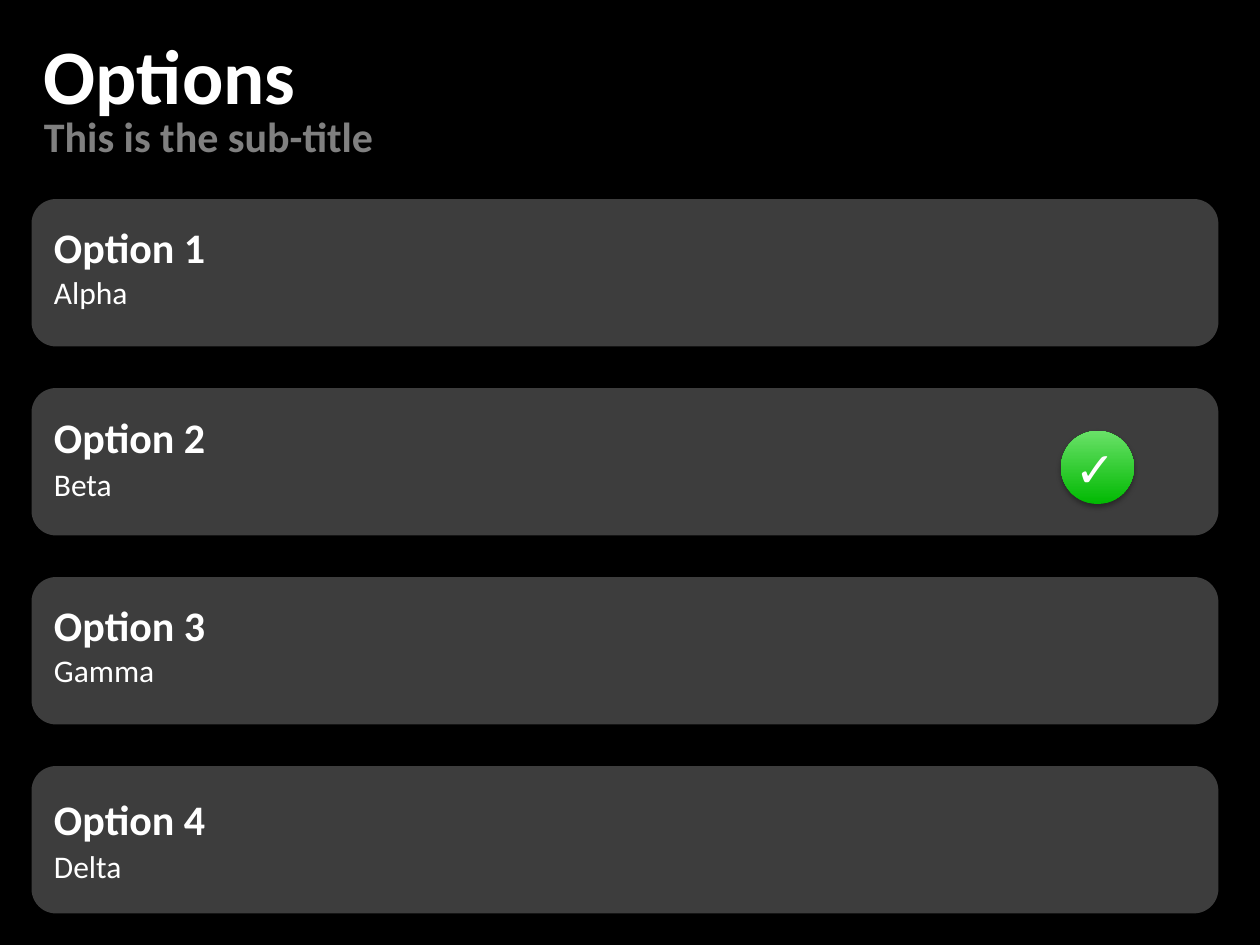
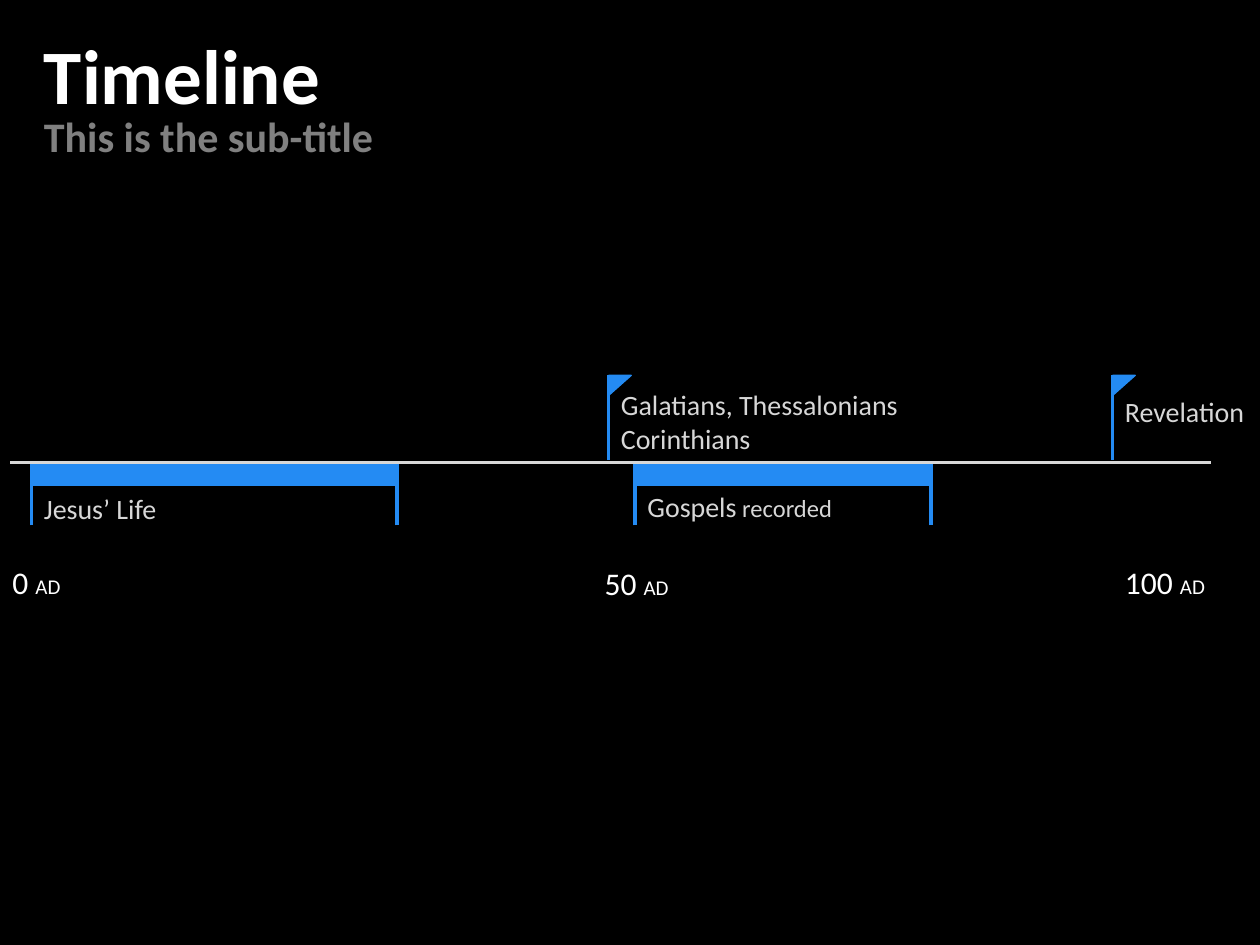
from dataclasses import dataclass

from lxml.etree import SubElement
from pptx import Presentation
from pptx.dml.color import RGBColor
from pptx.enum.shapes import MSO_CONNECTOR, MSO_SHAPE
from pptx.enum.text import MSO_AUTO_SIZE
from pptx.oxml.ns import qn
from pptx.util import Inches, Pt


@dataclass(frozen=True)
class Theme:
    font: str = "Calibri"
    background: str = "000000"
    white: str = "FFFFFF"
    subtitle: str = "808080"
    label: str = "D7D7D7"
    blue: str = "248BF3"
    green: str = "01B902"
    light_green: str = "69E168"
    card_alpha: int = 24
    title_size: int = 44
    heading_size: int = 24
    check_size: int = 28
    body_size: int = 18
    label_size: int = 16
    note_size: int = 14
    era_size: int = 12


def rgb(color):
    return RGBColor.from_string(color)


def write_text(tf, text, size, color, font, bold=False):
    """Fill a frame line by line; text may be a string or a list of (text, size) runs."""
    runs_by_line = [text] if isinstance(text, list) else [[(line, size)] for line in text.split("\n")]
    for i, runs in enumerate(runs_by_line):
        p = tf.add_paragraph() if i else tf.paragraphs[0]
        for words, run_size in runs:
            r = p.add_run()
            r.text = words
            r.font.name = font
            r.font.size = Pt(run_size)
            r.font.bold = bold
            r.font.color.rgb = rgb(color)


class Deck:
    def __init__(self, theme):
        self.theme = theme
        self.prs = Presentation()
        self.prs.slide_width, self.prs.slide_height = Inches(10), Inches(7.5)
        fill = self.prs.slide_master.background.fill
        fill.solid()
        fill.fore_color.rgb = rgb(theme.background)
        self.s = None

    def slide(self, title, subtitle):
        t = self.theme
        self.s = self.prs.slides.add_slide(self.prs.slide_layouts[6])
        self.text(title, 0.25, 0.17, 9.42, 0.84, size=t.title_size, bold=True)
        self.text(subtitle, 0.25, 0.83, 9.42, 0.5, size=t.heading_size, color=t.subtitle, bold=True)

    def text(self, text, x, y, w, h, size=None, color=None, bold=False, wrap=True):
        t = self.theme
        tf = self.s.shapes.add_textbox(Inches(x), Inches(y), Inches(w), Inches(h)).text_frame
        tf.word_wrap = wrap
        tf.auto_size = MSO_AUTO_SIZE.SHAPE_TO_FIT_TEXT
        write_text(tf, text, size or t.body_size, color or t.white, t.font, bold)

    def shape(self, kind, x, y, w, h, color, outline=False):
        sp = self.s.shapes.add_shape(kind, Inches(x), Inches(y), Inches(w), Inches(h))
        sp.shadow.inherit = False
        sp.fill.solid()
        sp.fill.fore_color.rgb = rgb(color)
        if outline:
            sp.line.color.rgb = rgb(color)
            sp.line.width = Pt(0.75)
        else:
            sp.line.fill.background()
        return sp

    def line(self, x1, y1, x2, y2, color):
        cn = self.s.shapes.add_connector(
            MSO_CONNECTOR.STRAIGHT, Inches(x1), Inches(y1), Inches(x2), Inches(y2))
        cn.line.color.rgb = rgb(color)
        cn.line.width = Pt(2)
        SubElement(cn._element.spPr, qn("a:effectLst"))

    def drop_shadow(self, sp):
        effects = sp._element.spPr.find(qn("a:effectLst"))
        shadow = SubElement(effects, qn("a:outerShdw"), blurRad=str(Pt(3.1)), dist=str(Pt(1.8)),
                            dir="5400000", rotWithShape="0")
        color = SubElement(shadow, qn("a:srgbClr"), val=self.theme.background)
        SubElement(color, qn("a:alpha"), val="35000")

    def option_card(self, y, name, detail, detail_width, name_dy, detail_dy):
        t = self.theme
        card = self.shape(MSO_SHAPE.ROUNDED_RECTANGLE, 0.25, y, 9.42, 1.17, t.white)
        color = card._element.spPr.find(qn("a:solidFill"))[0]
        SubElement(color, qn("a:alpha"), val=str(t.card_alpha * 1000))
        self.drop_shadow(card)
        self.text(name, 0.33, y + name_dy, 1.42, 0.5, size=t.heading_size, bold=True, wrap=False)
        self.text(detail, 0.33, y + detail_dy, detail_width, 0.4, wrap=False)

    def check_badge(self, x, y):
        t = self.theme
        badge = self.shape(MSO_SHAPE.OVAL, x, y, 0.58, 0.58, t.green)
        badge.fill.gradient()
        badge.fill.gradient_angle = 90
        for stop, color, position in zip(badge.fill.gradient_stops, (t.green, t.light_green), (0, 1)):
            stop.color.rgb = rgb(color)
            stop.position = position
        self.drop_shadow(badge)
        self.text("✓", x + 0.01, y + 0.01, 0.59, 0.57, size=t.check_size, wrap=False)

    def period(self, start, end, label, label_y):
        """Bar hanging below the axis, with a post at each end."""
        t = self.theme
        self.shape(MSO_SHAPE.RECTANGLE, start, 3.68, end - start, 0.17, t.blue, outline=True)
        for x in (start, end):
            self.line(x, 4.17, x, 3.67, t.blue)
        self.text(label, start, label_y, 2.35, 0.37, size=t.label_size, color=t.label)

    def flag(self, x, label, label_y, w, h):
        """Event marker standing on the axis."""
        t = self.theme
        self.line(x, 3.65, x, 2.98, t.blue)
        pennant = self.shape(MSO_SHAPE.RIGHT_TRIANGLE, x, 2.98, 0.18, 0.16, t.blue, outline=True)
        pennant._element.spPr.xfrm.set("flipV", "1")
        self.text(label, x, label_y, w, h, size=t.label_size, color=t.label)


def options_slide(deck):
    deck.slide("Options", "This is the sub-title")
    options = [
        ("Alpha", 0.79, 0.13, 0.54),
        ("Beta", 0.67, 0.14, 0.56),
        ("Gamma", 1.01, 0.13, 0.54),
        ("Delta", 0.75, 0.17, 0.59),
    ]
    for i, (detail, width, name_dy, detail_dy) in enumerate(options):
        deck.option_card(1.58 + 1.5 * i, f"Option {i + 1}", detail, width, name_dy, detail_dy)
    deck.check_badge(8.42, 3.42)


def timeline_slide(deck):
    t = deck.theme
    deck.slide("Timeline", "This is the sub-title")
    deck.period(5.04, 7.39, [("Gospels", t.label_size), (" recorded", t.note_size)], 3.84)
    deck.period(0.25, 3.15, "Jesus’ Life", 3.85)
    deck.flag(4.83, "Galatians, Thessalonians\nCorinthians", 3.03, 3.76, 0.64)
    deck.flag(8.83, "Revelation", 3.08, 1.17, 0.37)
    deck.line(0.08, 3.67, 9.61, 3.67, t.label)
    for year, x, y, w in ((0, 0, 4.42, 0.59), (50, 4.7, 4.43, 0.72), (100, 8.83, 4.42, 0.84)):
        deck.text([(f"{year} ", t.body_size), ("AD", t.era_size)], x, y, w, 0.4, wrap=False)


def main():
    deck = Deck(Theme())
    options_slide(deck)
    timeline_slide(deck)
    deck.prs.save("out.pptx")


if __name__ == "__main__":
    main()
